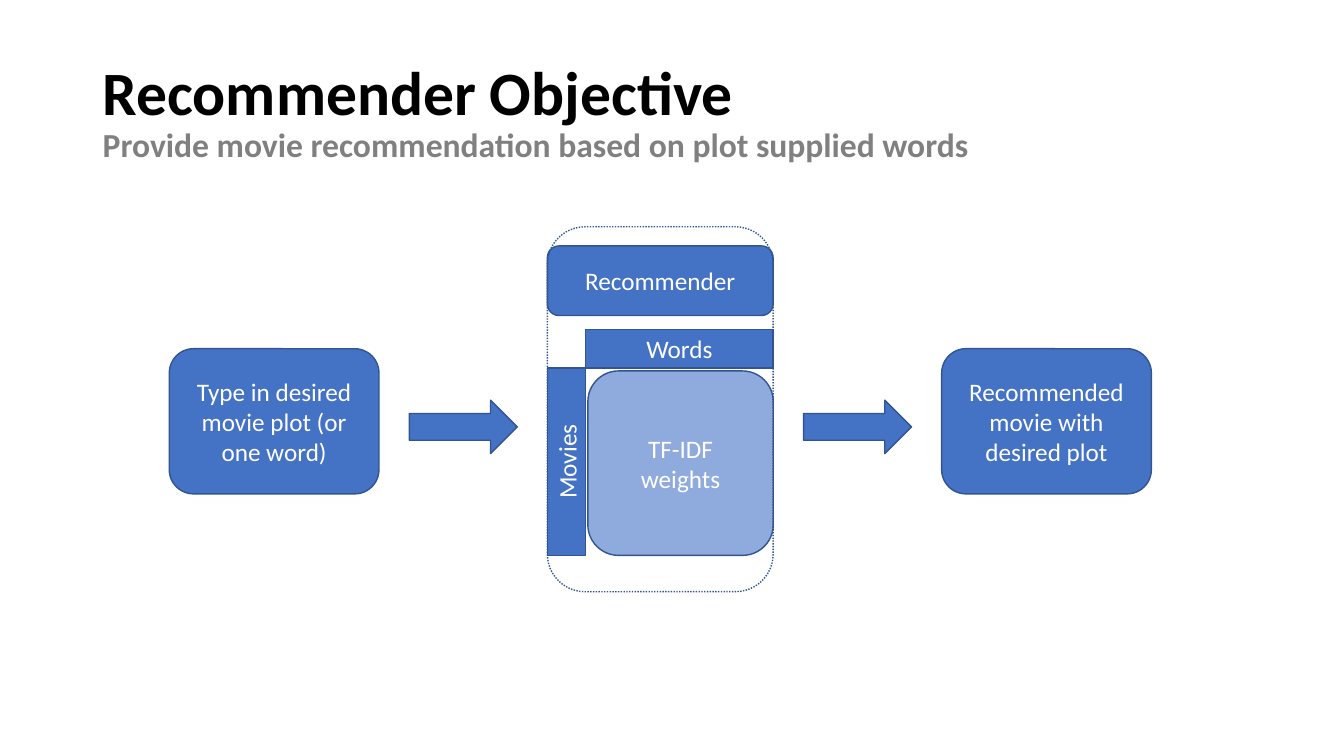
from dataclasses import dataclass
from typing import Optional

from pptx import Presentation
from pptx.dml.color import RGBColor
from pptx.enum.dml import MSO_LINE
from pptx.enum.shapes import MSO_SHAPE
from pptx.enum.text import MSO_ANCHOR, PP_ALIGN
from pptx.util import Emu, Inches, Pt

FONT = "Calibri"
BLUE = RGBColor(0x44, 0x72, 0xC4)
LIGHT_BLUE = RGBColor(0x8F, 0xAA, 0xDC)
DARK_BLUE = RGBColor(0x32, 0x54, 0x91)
WHITE = RGBColor(0xFF, 0xFF, 0xFF)
BLACK = RGBColor(0, 0, 0)
GRAY = RGBColor(0x80, 0x80, 0x80)

SLIDE_WIDTH = Inches(13.33)
SLIDE_HEIGHT = Inches(7.5)


@dataclass(frozen=True)
class Area:
    """A rectangle in percent of the slide's width and height."""
    left: float
    top: float
    width: float
    height: float

    def lengths(self) -> list[Emu]:
        return [Emu(round(share * full / 100)) for share, full in (
            (self.left, SLIDE_WIDTH), (self.top, SLIDE_HEIGHT),
            (self.width, SLIDE_WIDTH), (self.height, SLIDE_HEIGHT))]


@dataclass(frozen=True)
class Block:
    area: Area
    text: str = ""
    kind: MSO_SHAPE = MSO_SHAPE.ROUNDED_RECTANGLE
    fill: Optional[RGBColor] = BLUE
    rotation: float = 0


# Shared measures of the diagram
STEP_TOP, STEP_WIDTH, STEP_HEIGHT = 46.13, 15.6, 19.2
ARROW_TOP, ARROW_WIDTH, ARROW_HEIGHT = 52.93, 8.03, 7.07
ENGINE_LEFT, ENGINE_WIDTH = 40.73, 16.8
LABEL_WIDTH, LABEL_HEIGHT = 13.95, 5.07


def step(left: float, text: str) -> Block:
    return Block(Area(left, STEP_TOP, STEP_WIDTH, STEP_HEIGHT), text)


def arrow(left: float) -> Block:
    return Block(Area(left, ARROW_TOP, ARROW_WIDTH, ARROW_HEIGHT),
                 kind=MSO_SHAPE.RIGHT_ARROW)


def label(left: float, top: float, text: str, rotation: float = 0) -> Block:
    return Block(Area(left, top, LABEL_WIDTH, LABEL_HEIGHT), text,
                 MSO_SHAPE.RECTANGLE, rotation=rotation)


BLOCKS = (
    step(12.6, "Type in desired movie plot (or one word)"),
    Block(Area(ENGINE_LEFT, 32.53, ENGINE_WIDTH, 9.2), "Recommender"),
    label(43.58, 43.6, "Words"),
    label(35.18, 58.53, "Movies", rotation=270),
    Block(Area(43.74, 49.07, 13.8, 24.4), "TF-IDF\nweights", fill=LIGHT_BLUE),
    step(70.07, "Recommended movie with desired plot"),
    arrow(30.46),
    arrow(59.79),
    Block(Area(ENGINE_LEFT, 30, ENGINE_WIDTH, 48.27), fill=None),
)


def format_run(run, size: float, color: RGBColor, bold: bool = False) -> None:
    run.font.name = FONT
    run.font.size = Pt(size)
    run.font.bold = bold
    run.font.color.rgb = color


def add_title(slide, area: Area, title: str, subtitle: str) -> None:
    text_frame = slide.shapes.add_textbox(*area.lengths()).text_frame
    text_frame.word_wrap = True
    text_frame.vertical_anchor = MSO_ANCHOR.MIDDLE
    paragraph = text_frame.paragraphs[0]
    paragraph.text = f"{title}\v{subtitle}"
    paragraph.line_spacing = 0.9
    title_run, subtitle_run = paragraph.runs
    format_run(title_run, 44, BLACK, bold=True)
    format_run(subtitle_run, 24, GRAY, bold=True)


def add_block(slide, block: Block) -> None:
    shape = slide.shapes.add_shape(block.kind, *block.area.lengths())
    shape.shadow.inherit = False
    shape.rotation = block.rotation
    shape.line.color.rgb = DARK_BLUE
    shape.line.width = Pt(1)
    if block.fill is None:
        shape.fill.background()
        shape.line.dash_style = MSO_LINE.ROUND_DOT
    else:
        shape.fill.solid()
        shape.fill.fore_color.rgb = block.fill
    if block.text:
        text_frame = shape.text_frame
        text_frame.text = block.text
        text_frame.word_wrap = True
        text_frame.vertical_anchor = MSO_ANCHOR.MIDDLE
        for paragraph in text_frame.paragraphs:
            paragraph.alignment = PP_ALIGN.CENTER
            for run in paragraph.runs:
                format_run(run, 18, WHITE)


def main() -> None:
    presentation = Presentation()
    presentation.slide_width = SLIDE_WIDTH
    presentation.slide_height = SLIDE_HEIGHT
    slide = presentation.slides.add_slide(presentation.slide_layouts[6])

    # Heading
    add_title(slide, Area(6.9, 5.33, 86.27, 19.33), "Recommender Objective",
              "Provide movie recommendation based on plot supplied words")

    # Flow from input through the recommender to the result
    for block in BLOCKS:
        add_block(slide, block)

    presentation.save("out.pptx")


if __name__ == "__main__":
    main()
